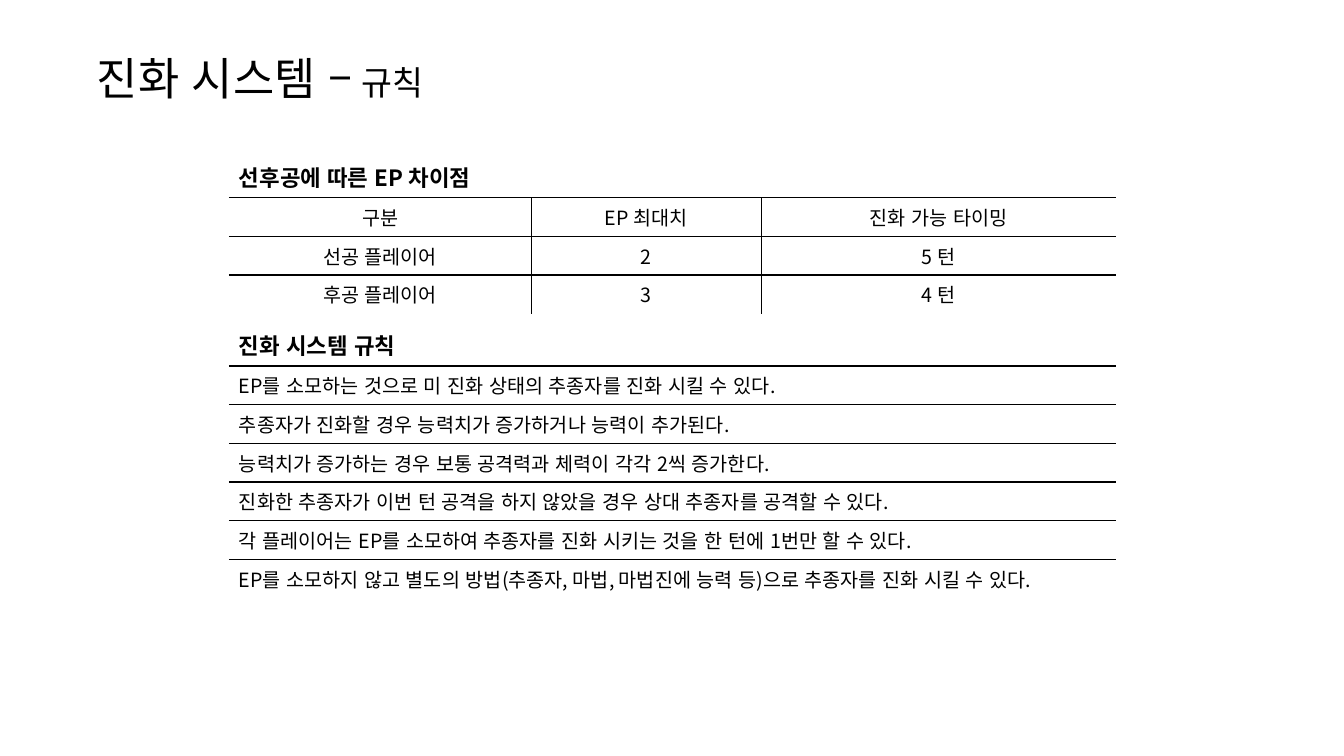
from dataclasses import dataclass

from lxml import etree
from pptx import Presentation
from pptx import util as u
from pptx.dml.color import RGBColor
from pptx.enum import lang, text
from pptx.oxml.ns import qn


@dataclass(frozen=True)
class Theme:
    font: str = "Noto Sans CJK KR"
    ink: RGBColor = RGBColor(0, 0, 0)
    title: int = 32
    subtitle: int = 24
    heading: int = 16
    body: int = 14
    rule: int = 1


THEME = Theme()
TABLE_LEFT = 2.27
HEADING_HEIGHT = 0.42
ROW_HEIGHT = 0.38

EP_ROWS = [
    ["구분", "EP 최대치", "진화 가능 타이밍"],
    ["선공 플레이어", "2", "5 턴"],
    ["후공 플레이어", "3", "4 턴"],
]
EVOLUTION_RULES = [
    "EP를 소모하는 것으로 미 진화 상태의 추종자를 진화 시킬 수 있다.",
    "추종자가 진화할 경우 능력치가 증가하거나 능력이 추가된다.",
    "능력치가 증가하는 경우 보통 공격력과 체력이 각각 2씩 증가한다.",
    "진화한 추종자가 이번 턴 공격을 하지 않았을 경우 상대 추종자를 공격할 수 있다.",
    "각 플레이어는 EP를 소모하여 추종자를 진화 시키는 것을 한 턴에 1번만 할 수 있다.",
    "EP를 소모하지 않고 별도의 방법(추종자, 마법, 마법진에 능력 등)으로 추종자를 진화 시킬 수 있다.",
]


def format_paragraph(paragraph, size, alignment, bold=False):
    paragraph.alignment = alignment
    font = paragraph.font
    font.name = THEME.font
    font.size = u.Pt(size)
    font.bold = bold
    font.color.rgb = THEME.ink
    font.language_id = lang.MSO_LANGUAGE_ID.KOREAN
    properties = paragraph._p.pPr.find(qn("a:defRPr"))
    etree.SubElement(properties, qn("a:ea"), typeface=THEME.font)


def set_borders(cell, visible_sides):
    """Rule the named sides (L, R, T, B) and clear the others."""
    properties = cell._tc.get_or_add_tcPr()
    for position, side in enumerate("LRTB"):
        line = etree.Element(qn(f"a:ln{side}"), w=str(u.Pt(THEME.rule)))
        if side in visible_sides:
            fill = etree.SubElement(line, qn("a:solidFill"))
            etree.SubElement(fill, qn("a:srgbClr"), val=str(THEME.ink))
        else:
            etree.SubElement(line, qn("a:noFill"))
        properties.insert(position, line)


def fill_cell(cell, wording, size, alignment, bold=False):
    cell.text = wording
    cell.fill.background()
    format_paragraph(cell.text_frame.paragraphs[0], size, alignment, bold)


def add_title(slide, main_title, subtitle):
    title = slide.shapes.title
    title.left, title.top = u.Inches(0.76), u.Inches(0.42)
    title.width, title.height = u.Inches(11.81), u.Inches(0.69)
    frame = title.text_frame
    frame.auto_size = text.MSO_AUTO_SIZE.NONE
    frame.vertical_anchor = text.MSO_ANCHOR.MIDDLE
    frame.margin_left = u.Inches(0.2)
    paragraph = frame.paragraphs[0]
    format_paragraph(paragraph, THEME.title, text.PP_ALIGN.LEFT)
    paragraph.add_run().text = main_title
    subtitle_run = paragraph.add_run()
    subtitle_run.text = f" {subtitle}"
    subtitle_run.font.size = u.Pt(THEME.subtitle)


def add_ruled_table(slide, top, heading, rows, column_widths, alignment):
    """Add a table with a bold full-width heading and inner rules only."""
    column_count = len(column_widths)
    height = HEADING_HEIGHT + ROW_HEIGHT * len(rows)
    table = slide.shapes.add_table(
        len(rows) + 1, column_count, u.Inches(TABLE_LEFT), u.Inches(top),
        u.Inches(sum(column_widths)), u.Inches(height)).table
    table.first_row = table.horz_banding = False
    for column, width in zip(table.columns, column_widths):
        column.width = u.Inches(width)
    for index, row in enumerate(table.rows):
        row.height = u.Inches(ROW_HEIGHT if index else HEADING_HEIGHT)

    for cell in table.rows[0].cells:
        cell.fill.background()
        set_borders(cell, "B")
    heading_cell = table.cell(0, 0)
    heading_cell.merge(table.cell(0, column_count - 1))
    fill_cell(heading_cell, heading, THEME.heading, text.PP_ALIGN.LEFT, bold=True)

    for row_index, row in enumerate(rows, start=1):
        for column_index, wording in enumerate(row):
            cell = table.cell(row_index, column_index)
            fill_cell(cell, wording, THEME.body, alignment)
            sides = "T"
            if row_index < len(rows):
                sides += "B"
            if column_index > 0:
                sides += "L"
            if column_index < column_count - 1:
                sides += "R"
            set_borders(cell, sides)


def main():
    presentation = Presentation()
    presentation.slide_width = u.Inches(13.33)
    presentation.slide_height = u.Inches(7.5)
    slide = presentation.slides.add_slide(presentation.slide_layouts[5])
    add_title(slide, "진화 시스템 –", "규칙")
    add_ruled_table(slide, 1.54, "선후공에 따른 EP 차이점", EP_ROWS,
                    [3, 2.28, 3.52], text.PP_ALIGN.CENTER)
    add_ruled_table(slide, 3.21, "진화 시스템 규칙",
                    [[rule] for rule in EVOLUTION_RULES],
                    [8.8], text.PP_ALIGN.LEFT)
    presentation.save("out.pptx")


if __name__ == "__main__":
    main()
